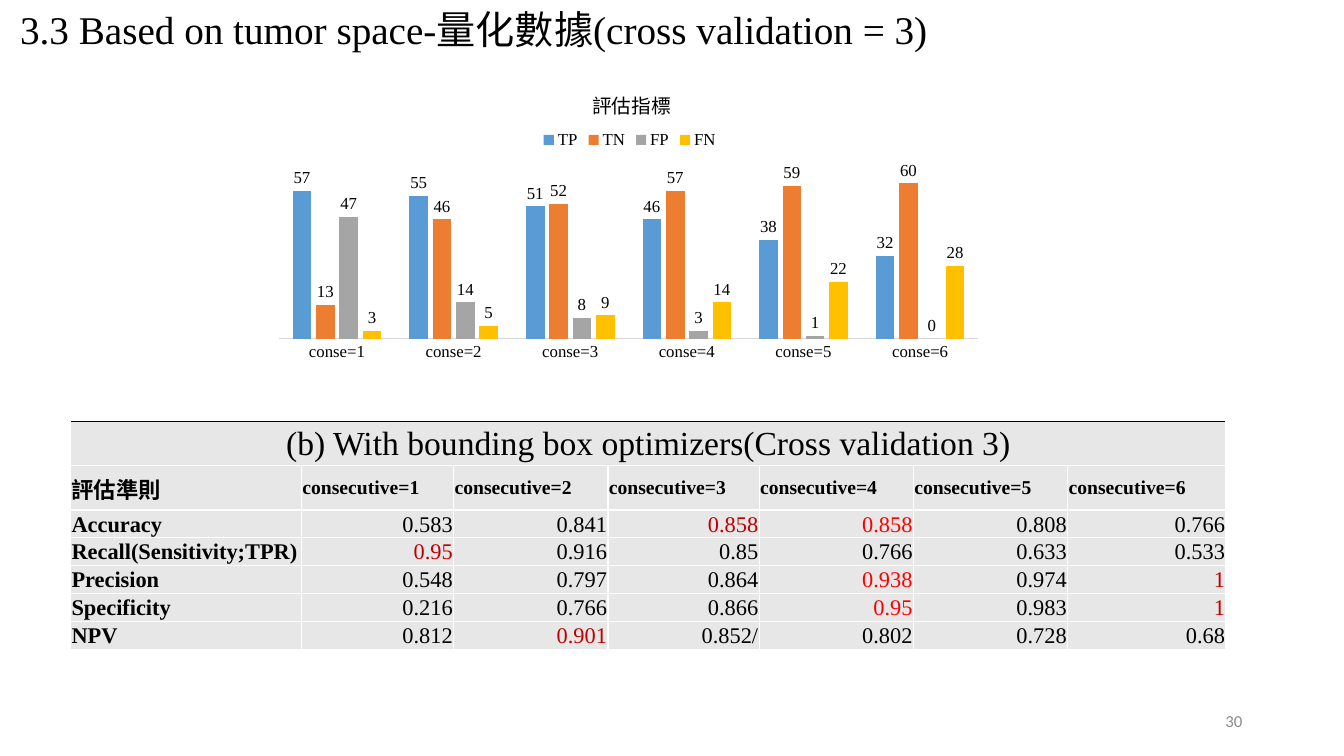
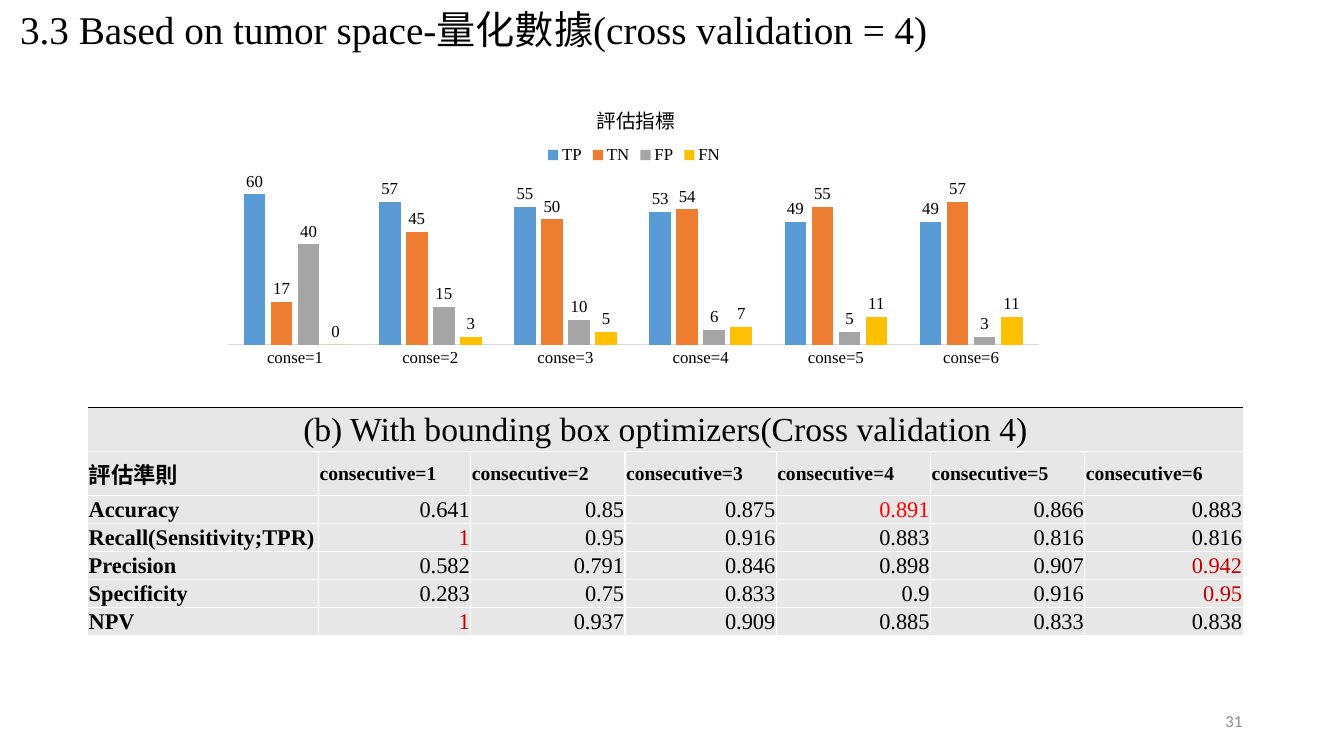
from lxml import etree
from pptx import Presentation
from pptx.chart.data import CategoryChartData
from pptx.dml.color import RGBColor
from pptx.enum.chart import XL_CHART_TYPE, XL_LABEL_POSITION, XL_LEGEND_POSITION, XL_TICK_MARK
from pptx.enum.text import MSO_ANCHOR, PP_ALIGN
from pptx.oxml import parse_xml
from pptx.oxml.ns import nsdecls, qn
from pptx.util import Inches, Pt

# Shared style
BLACK = RGBColor(0x00, 0x00, 0x00)
WHITE = RGBColor(0xFF, 0xFF, 0xFF)
NUMBER_GRAY = RGBColor(0x8C, 0x8C, 0x8C)
AXIS_GRAY = RGBColor(0xD9, 0xD9, 0xD9)
CELL_GRAY = RGBColor(0xE7, 0xE7, 0xE7)
RED = RGBColor(0xFF, 0x00, 0x00)
DARK_RED = RGBColor(0xC0, 0x00, 0x00)
SERIES_COLORS = {
    "TP": RGBColor(0x5B, 0x9B, 0xD5),
    "TN": RGBColor(0xED, 0x7D, 0x31),
    "FP": RGBColor(0xA5, 0xA5, 0xA5),
    "FN": RGBColor(0xFF, 0xC0, 0x00),
}
SERIF = "Times New Roman"
SANS = "Calibri"
LEFT, CENTER, RIGHT = PP_ALIGN.LEFT, PP_ALIGN.CENTER, PP_ALIGN.RIGHT
TOP, MIDDLE = MSO_ANCHOR.TOP, MSO_ANCHOR.MIDDLE
COLUMNS = XL_CHART_TYPE.COLUMN_CLUSTERED
LABEL_ABOVE = XL_LABEL_POSITION.OUTSIDE_END
LEGEND_TOP = XL_LEGEND_POSITION.TOP
NO_TICK = XL_TICK_MARK.NONE

# Table grid
RUNS = range(1, 7)
COLUMN_WIDTHS = [2.29, 1.51, 1.53, 1.5, 1.53, 1.53, 1.57]
ROW_HEIGHTS = [0.44, 0.44] + [0.27] * 5
METRICS = ["Accuracy", "Recall(Sensitivity;TPR)", "Precision", "Specificity", "NPV"]

# Highlights are keyed by metric row and consecutive number
SLIDES = [
    {
        "number": 30,
        "fold": 3,
        "chart_box": (2.62, 0.66, 7.23, 3),
        "plot": (0.02, 0.3, 0.96, 0.6),
        "counts": {
            "TP": [57, 55, 51, 46, 38, 32],
            "TN": [13, 46, 52, 57, 59, 60],
            "FP": [47, 14, 8, 3, 1, 0],
            "FN": [3, 5, 9, 14, 22, 28],
        },
        "table_at": (0.7, 4.18),
        "scores": [
            ["0.583", "0.841", "0.858", "0.858", "0.808", "0.766"],
            ["0.95", "0.916", "0.85", "0.766", "0.633", "0.533"],
            ["0.548", "0.797", "0.864", "0.938", "0.974", "1"],
            ["0.216", "0.766", "0.866", "0.95", "0.983", "1"],
            ["0.812", "0.901", "0.852/", "0.802", "0.728", "0.68"],
        ],
        "highlights": {
            (0, 3): DARK_RED, (0, 4): RED, (1, 1): DARK_RED, (2, 4): RED,
            (2, 6): DARK_RED, (3, 4): RED, (3, 6): DARK_RED, (4, 2): DARK_RED,
        },
    },
    {
        "number": 31,
        "fold": 4,
        "chart_box": (2, 0.81, 8.56, 3),
        "plot": (0.03, 0.29, 0.94, 0.58),
        "counts": {
            "TP": [60, 57, 55, 53, 49, 49],
            "TN": [17, 45, 50, 54, 55, 57],
            "FP": [40, 15, 10, 6, 5, 3],
            "FN": [0, 3, 5, 7, 11, 11],
        },
        "table_at": (0.87, 4.04),
        "scores": [
            ["0.641", "0.85", "0.875", "0.891", "0.866", "0.883"],
            ["1", "0.95", "0.916", "0.883", "0.816", "0.816"],
            ["0.582", "0.791", "0.846", "0.898", "0.907", "0.942"],
            ["0.283", "0.75", "0.833", "0.9", "0.916", "0.95"],
            ["1", "0.937", "0.909", "0.885", "0.833", "0.838"],
        ],
        "highlights": {
            (0, 4): RED, (1, 1): DARK_RED, (2, 6): DARK_RED,
            (3, 6): DARK_RED, (4, 1): DARK_RED,
        },
    },
]


def style_font(font, size, color=BLACK, name=SERIF, bold=False):
    font.name = name
    font.size = Pt(size)
    font.bold = bold
    font.color.rgb = color


def fill_text(text_frame, text, size, align=LEFT, **font_style):
    paragraph = text_frame.paragraphs[0]
    paragraph.text = text
    paragraph.alignment = align
    style_font(paragraph.runs[0].font, size, **font_style)


def add_text(slide, box, text, size, align=LEFT, anchor=TOP, indent=0, **font_style):
    text_frame = slide.shapes.add_textbox(*map(Inches, box)).text_frame
    text_frame.word_wrap = True
    text_frame.vertical_anchor = anchor
    text_frame.margin_left = Inches(0.1 + indent)
    fill_text(text_frame, text, size, align, **font_style)


def place_chart_part(element, **fractions):
    """Give a chart part a fixed place, in fractions of the chart."""
    for old_layout in element.findall(qn("c:layout")):
        element.remove(old_layout)
    layout = parse_xml(f"<c:layout {nsdecls('c')}><c:manualLayout/></c:layout>")
    manual = layout[0]
    if "w" in fractions:
        etree.SubElement(manual, qn("c:layoutTarget")).set("val", "inner")
    for key in ("x", "y"):
        etree.SubElement(manual, qn(f"c:{key}Mode")).set("val", "edge")
    for key, value in fractions.items():
        etree.SubElement(manual, qn(f"c:{key}")).set("val", f"{value:.3f}")
    overlay = element.find(qn("c:overlay"))
    element.insert(0 if overlay is None else element.index(overlay), layout)


def add_count_chart(slide, box, counts, plot_box):
    chart_data = CategoryChartData()
    chart_data.categories = [f"conse={run}" for run in RUNS]
    for name, values in counts.items():
        chart_data.add_series(name, values)
    chart = slide.shapes.add_chart(COLUMNS, *map(Inches, box), chart_data).chart
    style_font(chart.font, 12)

    # Title and legend, centred over the columns
    width = box[2]
    chart.has_title = True
    fill_text(chart.chart_title.text_frame, "評估指標", 14, CENTER)
    place_chart_part(chart.chart_title._element, x=0.5 - 0.4 / width, y=0.06)
    chart.has_legend = True
    chart.legend.position = LEGEND_TOP
    chart.legend.include_in_layout = False
    style_font(chart.legend.font, 12)
    place_chart_part(chart.legend._element, x=0.5 - 0.9 / width, y=0.2)

    # Axes
    chart.value_axis.visible = False
    chart.value_axis.has_major_gridlines = False
    chart.value_axis.minimum_scale = 0
    chart.value_axis.maximum_scale = 70
    category_axis = chart.category_axis
    category_axis.major_tick_mark = NO_TICK
    category_axis.format.line.color.rgb = AXIS_GRAY
    category_axis.format.line.width = Pt(0.75)
    style_font(category_axis.tick_labels.font, 12)

    # Columns
    plot = chart.plots[0]
    plot.gap_width = 150
    plot.overlap = -25
    plot.vary_by_categories = False
    for series in plot.series:
        series.format.fill.solid()
        series.format.fill.fore_color.rgb = SERIES_COLORS[series.name]
        labels = series.data_labels
        labels.show_value = True
        labels.position = LABEL_ABOVE
        style_font(labels.font, 12)
    plot_area = chart._chartSpace.chart.plotArea
    place_chart_part(plot_area, **dict(zip("xywh", plot_box)))


def style_cell(cell, top_color):
    cell.vertical_anchor = MIDDLE
    cell.margin_left = cell.margin_right = cell.margin_top = Inches(0.01)
    cell.margin_bottom = 0
    properties = cell._tc.get_or_add_tcPr()
    for side in "LRTB":
        color = top_color if side == "T" else WHITE
        properties.append(parse_xml(
            f'<a:ln{side} {nsdecls("a")} w="12700"><a:solidFill>'
            f'<a:srgbClr val="{color}"/></a:solidFill></a:ln{side}>'))
    cell.fill.solid()
    cell.fill.fore_color.rgb = CELL_GRAY


def add_score_table(slide, position, fold, scores, highlights):
    size = (sum(COLUMN_WIDTHS), sum(ROW_HEIGHTS))
    table = slide.shapes.add_table(
        len(ROW_HEIGHTS), len(COLUMN_WIDTHS), *map(Inches, position + size)).table
    table.first_row = table.horz_banding = False
    for column, width in zip(table.columns, COLUMN_WIDTHS):
        column.width = Inches(width)
    for index, (row, height) in enumerate(zip(table.rows, ROW_HEIGHTS)):
        row.height = Inches(height)
        for cell in row.cells:
            style_cell(cell, WHITE if index else BLACK)

    # Caption and column heads
    caption = table.cell(0, 0)
    caption.merge(table.cell(0, len(RUNS)))
    fill_text(caption.text_frame,
              f"(b) With bounding box optimizers(Cross validation {fold})", 24, CENTER)
    fill_text(table.cell(1, 0).text_frame, "評估準則", 16, bold=True)
    for run in RUNS:
        fill_text(table.cell(1, run).text_frame, f"consecutive={run}", 14, bold=True)

    # Scores
    for index, (metric, values) in enumerate(zip(METRICS, scores)):
        fill_text(table.cell(index + 2, 0).text_frame, metric, 16, bold=True)
        for run, value in zip(RUNS, values):
            fill_text(table.cell(index + 2, run).text_frame, value, 16, RIGHT,
                      color=highlights.get((index, run), BLACK))


def add_result_slide(presentation, content):
    slide = presentation.slides.add_slide(presentation.slide_layouts[6])
    fold = content["fold"]
    add_text(slide, (9.42, 6.95, 3, 0.4), str(content["number"]), 12, RIGHT, MIDDLE,
             name=SANS, color=NUMBER_GRAY)
    add_text(slide, (-0.4, 0, 12.47, 1.04),
             f"3.3 Based on tumor space-量化數據(cross validation = {fold})", 28, indent=0.5)
    add_count_chart(slide, content["chart_box"], content["counts"], content["plot"])
    add_score_table(slide, content["table_at"], fold,
                    content["scores"], content["highlights"])


def main():
    presentation = Presentation()
    presentation.slide_width = Inches(13.33)
    presentation.slide_height = Inches(7.5)
    for content in SLIDES:
        add_result_slide(presentation, content)
    presentation.save("out.pptx")


if __name__ == "__main__":
    main()
